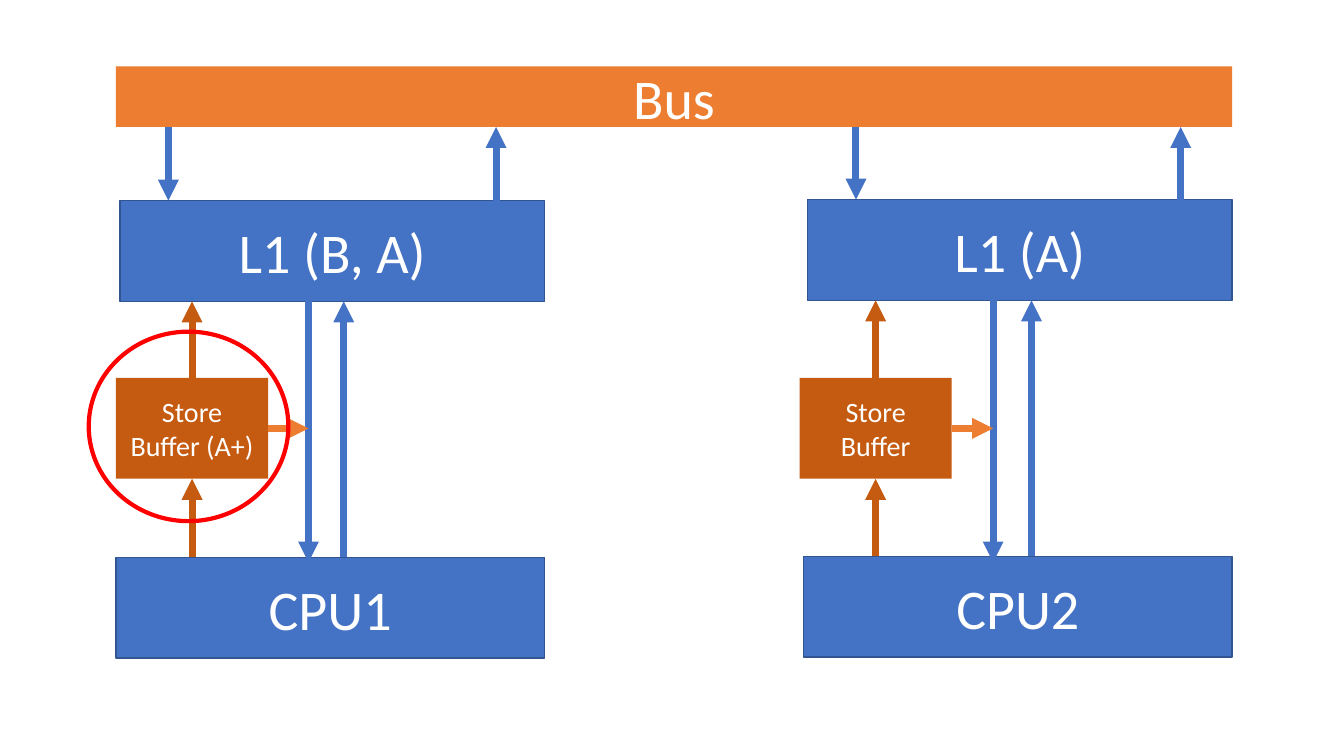
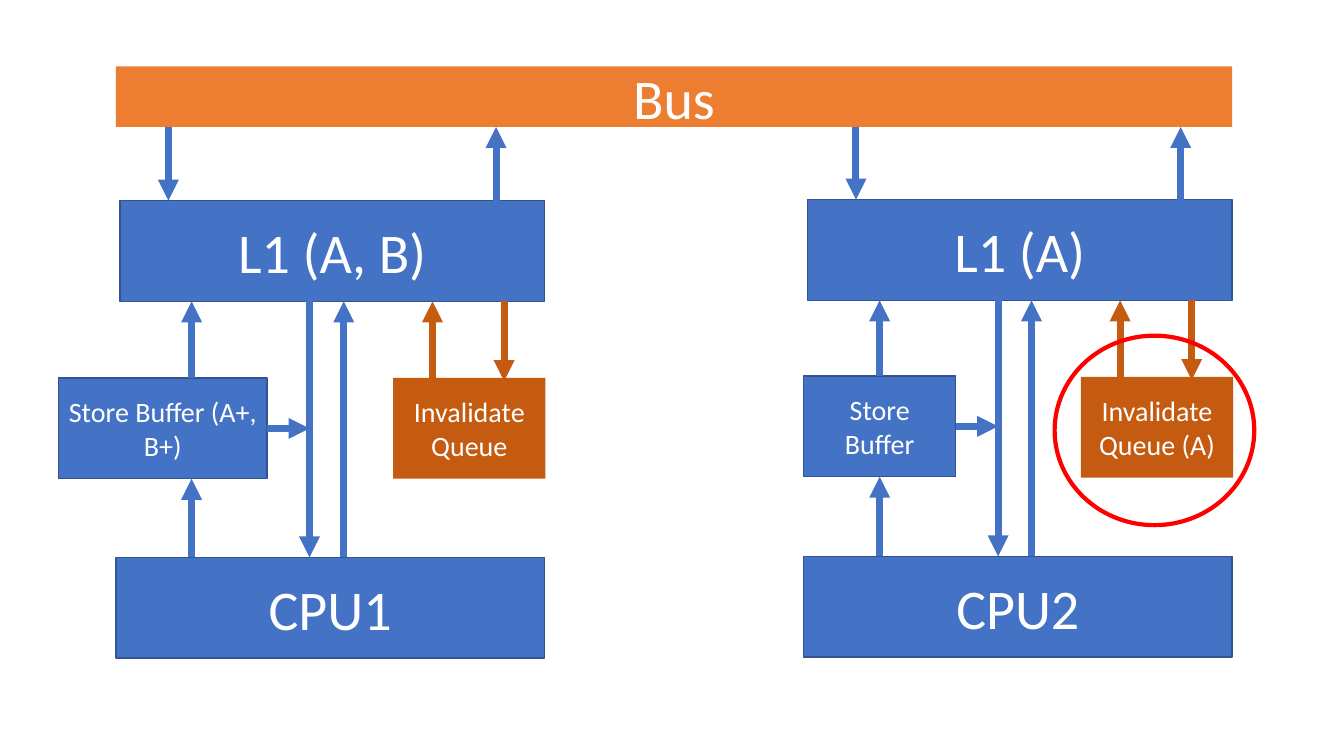
from lxml import etree
from pptx import Presentation
from pptx.dml.color import RGBColor
from pptx.enum.shapes import MSO_CONNECTOR, MSO_SHAPE
from pptx.enum.text import MSO_ANCHOR, PP_ALIGN
from pptx.oxml.ns import qn
from pptx.util import Inches, Pt

RECT, OVAL = MSO_SHAPE.RECTANGLE, MSO_SHAPE.OVAL
STRAIGHT = MSO_CONNECTOR.STRAIGHT
TOP, BOTTOM, RIGHT = 0, 2, 3
FONT = "Calibri"
COLORS = {"blue": "4472C4", "edge": "325491", "orange": "ED7D31",
          "brown": "C55A11", "red": "FF0000", "white": "FFFFFF"}

BUS_BOTTOM = 1.26
BOX_H = 1.0
CPU_DROP = 3.54  # from the top of the cache to the top of the CPU
SMALL_W = 1.51
LEFT_CORE, RIGHT_CORE = (1.15, 1.99), (7.97, 1.98)


def rgb(name):
    return RGBColor.from_string(COLORS[name])


def add_box(s, x, y, w, h, text, color="blue", size=40):
    """Add a filled, labelled rectangle; only blue ones have an edge."""
    sp = s.shapes.add_shape(RECT, Inches(x), Inches(y), Inches(w), Inches(h))
    sp.shadow.inherit = False
    sp.fill.solid()
    sp.fill.fore_color.rgb = rgb(color)
    if color == "blue":
        sp.line.color.rgb = rgb("edge")
        sp.line.width = Pt(1)
    else:
        sp.line.fill.background()
    tf = sp.text_frame
    tf.word_wrap = True
    tf.vertical_anchor = MSO_ANCHOR.MIDDLE
    tf.text = text
    p = tf.paragraphs[0]
    p.alignment = PP_ALIGN.CENTER
    font = p.runs[0].font
    font.name, font.size = FONT, Pt(size)
    font.color.rgb = rgb("white")
    return sp


def add_line(s, start, end, color="blue", arrow=True):
    c = s.shapes.add_connector(STRAIGHT, *(Inches(v) for v in (*start, *end)))
    c.line.color.rgb = rgb(color)
    c.line.width = Pt(5)
    if arrow:
        etree.SubElement(c.line._get_or_add_ln(), qn("a:tailEnd"), type="triangle")
    etree.SubElement(c._element.spPr, qn("a:effectLst"))
    return c


def add_ring(s, x, y):
    sp = s.shapes.add_shape(OVAL, Inches(x), Inches(y), Inches(1.98), Inches(1.88))
    sp.shadow.inherit = False
    sp.fill.background()
    sp.line.color.rgb = rgb("red")
    sp.line.width = Pt(3)


def add_core(s, origin, cache, cpu, bus_up_x):
    """Add a cache and CPU with their bus arrows and the CPU's upward arrow."""
    x, y = origin
    add_box(s, x + 0.04, y, 4.21, BOX_H, cache)
    add_box(s, x, y + CPU_DROP, 4.25, BOX_H, cpu)
    add_line(s, (x + 0.52, BUS_BOTTOM), (x + 0.52, y))
    add_line(s, (bus_up_x, y), (bus_up_x, BUS_BOTTOM))
    add_line(s, (x + 2.26, y + CPU_DROP), (x + 2.26, y + BOX_H))


def add_store_buffer(s, origin, box, text, load_x, color="blue",
                     side_color="blue", port_x=None):
    """Add a buffer between CPU and cache; port_x sets an off-centre path."""
    x, y, w = box
    cache_bottom, cpu_top = origin[1] + BOX_H, origin[1] + CPU_DROP
    mid_x, mid_y = port_x or x + w / 2, y + BOX_H / 2
    sp = add_box(s, x, y, w, BOX_H, text, color, 20)
    flush = add_line(s, (mid_x, y), (mid_x, cache_bottom), color)
    store = add_line(s, (mid_x, cpu_top), (mid_x, y + BOX_H), color)
    if port_x is None:
        flush.begin_connect(sp, TOP)
        store.end_connect(sp, BOTTOM)
    forward = add_line(s, (x + w, mid_y), (load_x, mid_y), side_color)
    forward.begin_connect(sp, RIGHT)


def add_split_load(s, origin, x):
    """Add the load path as two lines meeting beside the store buffer."""
    joint = (x, 4.24)
    add_line(s, (x, origin[1] + BOX_H), joint, arrow=False)
    add_line(s, joint, (x, 5.58))


def add_load(s, origin, x):
    add_line(s, (x, origin[1] + BOX_H), (x, origin[1] + CPU_DROP))


def add_invalidate_queue(s, origin, text):
    x, y = origin[0] + 2.75, origin[1] + 1.76
    cache_bottom = origin[1] + BOX_H
    add_box(s, x, y, SMALL_W, BOX_H, text, "brown", 20)
    add_line(s, (x + 1.1, cache_bottom), (x + 1.1, y + 0.03), "brown")
    add_line(s, (x + 0.39, y + 0.03), (x + 0.39, cache_bottom), "brown")


def add_system(prs, left_cache):
    """Add a slide with the bus and both cores."""
    s = prs.slides.add_slide(prs.slide_layouts[6])
    add_box(s, 1.15, 0.66, 11.07, 0.6, "Bus", "orange")
    add_core(s, LEFT_CORE, left_cache, "CPU1", 4.92)
    add_core(s, RIGHT_CORE, "L1 (A)", "CPU2", 11.71)
    return s


def store_buffer_slide(prs):
    s = add_system(prs, "L1 (B, A)")
    for origin, x, text, load_x in ((LEFT_CORE, 1.15, "Store Buffer (A+)", 3.06),
                                    (RIGHT_CORE, 7.93, "Store Buffer", 9.85)):
        add_split_load(s, origin, load_x)
        add_store_buffer(s, origin, (x, 3.75, SMALL_W), text, load_x,
                         "brown", "orange")
    add_ring(s, 0.88, 3.29)


def invalidate_queue_slide(prs):
    s = add_system(prs, "L1 (A, B)")
    for origin, box, text, load_x, port_x, queue in (
            (LEFT_CORE, (0.58, 3.75, 2.07), "Store Buffer (A+, B+)", 3.07, 1.9,
             "Invalidate Queue"),
            (RIGHT_CORE, (7.97, 3.73, SMALL_W), "Store Buffer", 9.9, None,
             "Invalidate Queue (A)")):
        add_load(s, origin, load_x)
        add_store_buffer(s, origin, box, text, load_x, port_x=port_x)
        add_invalidate_queue(s, origin, queue)
    add_ring(s, 10.46, 3.33)


def main():
    prs = Presentation()
    prs.slide_width, prs.slide_height = Inches(13.33), Inches(7.5)
    store_buffer_slide(prs)
    invalidate_queue_slide(prs)
    prs.save("out.pptx")


if __name__ == "__main__":
    main()
